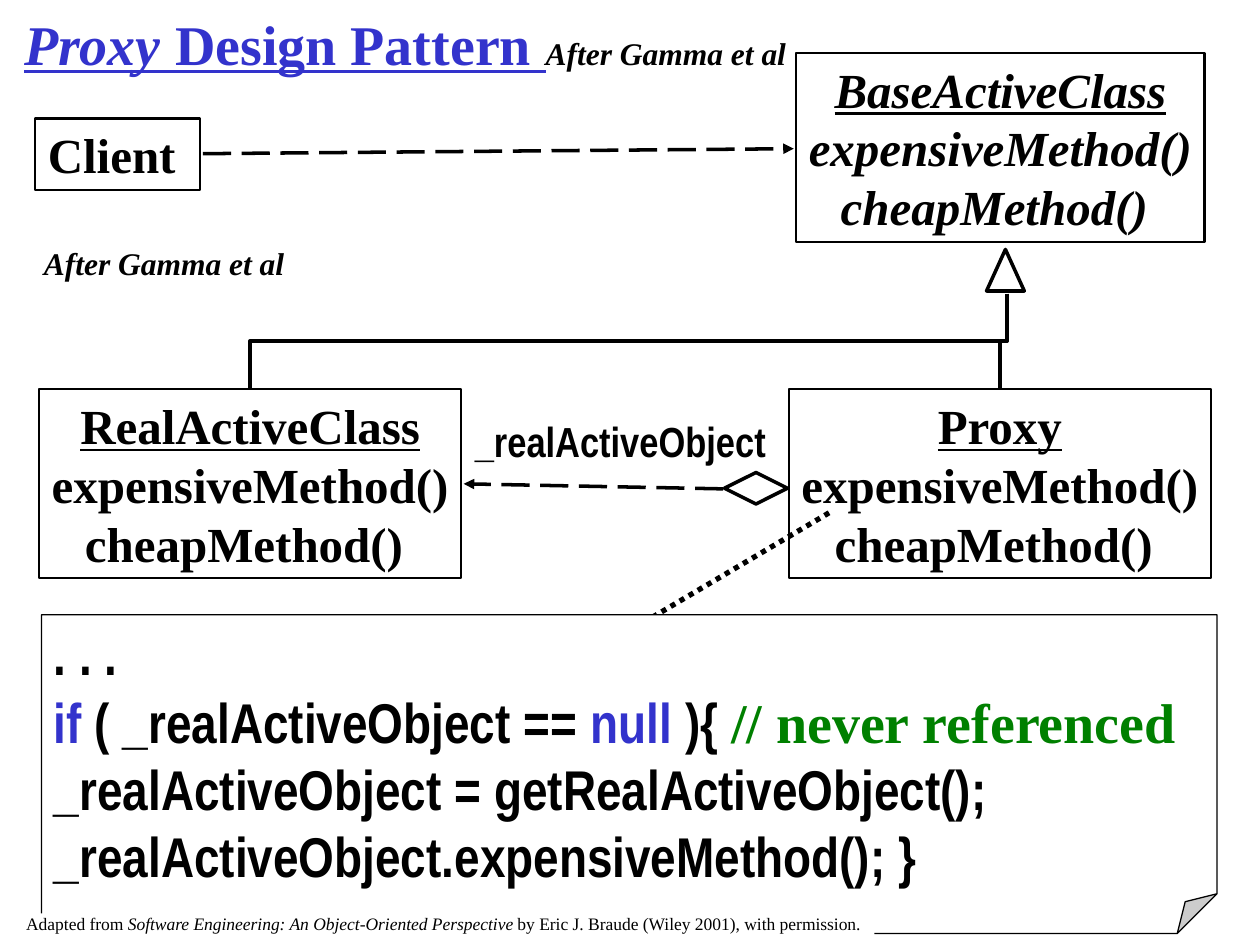
from lxml import etree
from pptx import Presentation
from pptx.dml.color import RGBColor
from pptx.enum.dml import MSO_LINE
from pptx.enum.shapes import MSO_CONNECTOR, MSO_SHAPE
from pptx.enum.text import MSO_ANCHOR, MSO_AUTO_SIZE, PP_ALIGN
from pptx.oxml.ns import qn
from pptx.util import Inches, Pt

COLOURS = {"ink": "000000", "paper": "FFFFFF", "blue": "3333CC", "green": "008000"}
SERIF, NARROW = "Times New Roman", "Arial Narrow"
CLASS_TEXT = dict(name=SERIF, size=Pt(28), bold=True)
CREDIT_TEXT = dict(name=SERIF, size=Pt(18), bold=True, italic=True)
CODE_TEXT = dict(name=NARROW, size=Pt(32), bold=True)
METHODS = ["expensiveMethod()", "cheapMethod() "]


def colour(name):
    return RGBColor.from_string(COLOURS[name])


def write(shape, lines, base, align=PP_ALIGN.LEFT, anchor=MSO_ANCHOR.TOP, wrap=False):
    """Fill a shape with lines, each a list of (text, format changes)."""
    frame = shape.text_frame
    settings = dict(word_wrap=wrap, vertical_anchor=anchor, auto_size=MSO_AUTO_SIZE.SHAPE_TO_FIT_TEXT)
    for key, value in settings.items():
        setattr(frame, key, value)
    for index, line in enumerate(lines):
        para = frame.add_paragraph() if index else frame.paragraphs[0]
        para.alignment = align
        for text, changes in line:
            span = para.add_run()
            span.text = text
            style = {"color": "ink", **base, **changes}
            span.font.color.rgb = colour(style.pop("color"))
            for key, value in style.items():
                setattr(span.font, key, value)


def add_label(page, box, lines, base, **layout):
    label = page.shapes.add_textbox(*map(Inches, box))
    write(label, lines, base, **layout)
    return label


def add_outline(page, kind, box, width, filled=True):
    shape = page.shapes.add_shape(kind, *map(Inches, box))
    shape.shadow.inherit = False
    if filled:
        shape.fill.solid()
        shape.fill.fore_color.rgb = colour("paper")
    else:
        shape.fill.background()
    shape.line.color.rgb = colour("ink")
    shape.line.width = Pt(width)
    return shape


def add_link(page, start, end, kind=MSO_CONNECTOR.STRAIGHT, width=2, dash=None, arrow=False):
    link = page.shapes.add_connector(kind, *map(Inches, (*start, *end)))
    link.line.color.rgb = colour("ink")
    link.line.width = Pt(width)
    if dash:
        link.line.dash_style = dash
    if arrow:
        etree.SubElement(link.line._get_or_add_ln(), qn("a:tailEnd"), type="triangle")
    etree.SubElement(link._element.spPr, qn("a:effectLst"))
    return link


def add_drop(page, start, end):
    """Elbow that leaves downwards: a sideways elbow turned by 90 degrees, going left."""
    (x1, y1), (x2, y2) = start, end
    middle_x, middle_y = (x1 + x2) / 2, (y1 + y2) / 2
    half_run, half_drop = (x1 - x2) / 2, (y2 - y1) / 2
    link = add_link(page, (middle_x - half_drop, middle_y - half_run),
                    (middle_x + half_drop, middle_y + half_run), MSO_CONNECTOR.ELBOW)
    link._element.spPr.find(qn("a:xfrm")).set("rot", "5400000")


def add_class(page, box, name, methods=METHODS, underline=True, italic=False):
    shape = add_outline(page, MSO_SHAPE.RECTANGLE, box, 1.25)
    lines = [[(name, dict(underline=underline))]] + [[(method, {})] for method in methods]
    write(shape, lines, {**CLASS_TEXT, "italic": italic},
          align=PP_ALIGN.CENTER, anchor=MSO_ANCHOR.MIDDLE)


def add_title(page, box):
    heading = dict(size=Pt(32), color="blue", underline=True)
    add_label(page, box, [[("Proxy", heading),
                           (" Design Pattern ", {**heading, "italic": False}),
                           ("After Gamma et al", {})]],
              CREDIT_TEXT, align=PP_ALIGN.CENTER, anchor=MSO_ANCHOR.MIDDLE, wrap=True)


def add_diagram(page, box):
    left, top, width, height = box

    def at(x, y, *size):
        return (left + x, top + y, *size)

    # Base class, inheritance triangle and subclasses
    add_class(page, at(6.04, 0, 3.24, 1.5), "BaseActiveClass", italic=True)
    add_outline(page, MSO_SHAPE.ISOSCELES_TRIANGLE, at(7.55, 1.56, 0.3, 0.33), 2)
    sub_width, sub_height = 3.35, 1.5
    for name, x in (("RealActiveClass", 0.03), ("Proxy", width - sub_width)):
        add_class(page, at(x, height - sub_height, sub_width, sub_height), name)
        add_drop(page, at(7.71, 1.91), at(x + sub_width / 2, 2.66))

    # Client and its dependency on the base class
    add_class(page, at(0, 0.52, 1.31, 0.57), "Client ", methods=[], underline=False)
    add_link(page, at(1.33, 0.8), at(6.02, 0.76), dash=MSO_LINE.LONG_DASH, arrow=True)

    # Aggregation from the proxy to the real class
    add_link(page, at(5.46, 3.46), at(3.4, 3.42), dash=MSO_LINE.LONG_DASH, arrow=True)
    add_outline(page, MSO_SHAPE.FLOWCHART_DECISION, at(5.47, 3.33, 0.5, 0.25), 2, filled=False)
    add_label(page, at(3.39, 2.83, 2.51, 0.5), [[("_realActiveObject", {})]],
              {**CODE_TEXT, "size": Pt(24)})


def add_code_note(page, box):
    left, top, width, height = box
    # Dotted link from the proxy method to the note
    add_link(page, (left + 6.25, top - 0.81), (left + 4, top + 0.52),
             width=3, dash=MSO_LINE.ROUND_DOT)
    note = add_outline(page, MSO_SHAPE.FOLDED_CORNER, box, 0.75)
    fold = note._element.spPr.find(qn("a:prstGeom")).get_or_add_avLst()
    etree.SubElement(fold, qn("a:gd"), name="adj", fmla="val 12500")
    keyword = dict(color="blue")
    write(note, [
        [(". . .", {})],
        [("if", keyword), (" ( _realActiveObject == ", {}), ("null", keyword), (" ){ ", {}),
         ("// never referenced", dict(name=SERIF, color="green"))],
        [("_realActiveObject = getRealActiveObject();", {})],
        [("_realActiveObject.expensiveMethod(); }", {})],
    ], CODE_TEXT, anchor=MSO_ANCHOR.MIDDLE, wrap=True)


def add_source(page, box):
    source = add_label(page, box, [[
        ("Adapted from ", {}),
        ("Software Engineering: An Object-Oriented Perspective ", dict(italic=True)),
        ("by Eric J. Braude (Wiley 2001), with permission.", {}),
    ]], dict(name=SERIF, size=Pt(10)))
    source.text_frame.margin_top = source.text_frame.margin_bottom = 0
    source.fill.solid()
    source.fill.fore_color.rgb = colour("paper")


def main():
    deck = Presentation()
    deck.slide_width, deck.slide_height = Inches(10), Inches(7.5)
    page = deck.slides.add_slide(deck.slide_layouts[6])
    add_title(page, (0.09, -0.12, 6.25, 0.93))
    add_diagram(page, (0.28, 0.42, 9.33, 4.17))
    add_code_note(page, (0.33, 4.88, 9.33, 2.53))
    add_label(page, (0.25, 1.89, 2.11, 0.4), [[("After Gamma et al", {})]], CREDIT_TEXT)
    add_source(page, (0.11, 7.25, 6.83, 0.17))
    deck.save("out.pptx")


if __name__ == "__main__":
    main()
